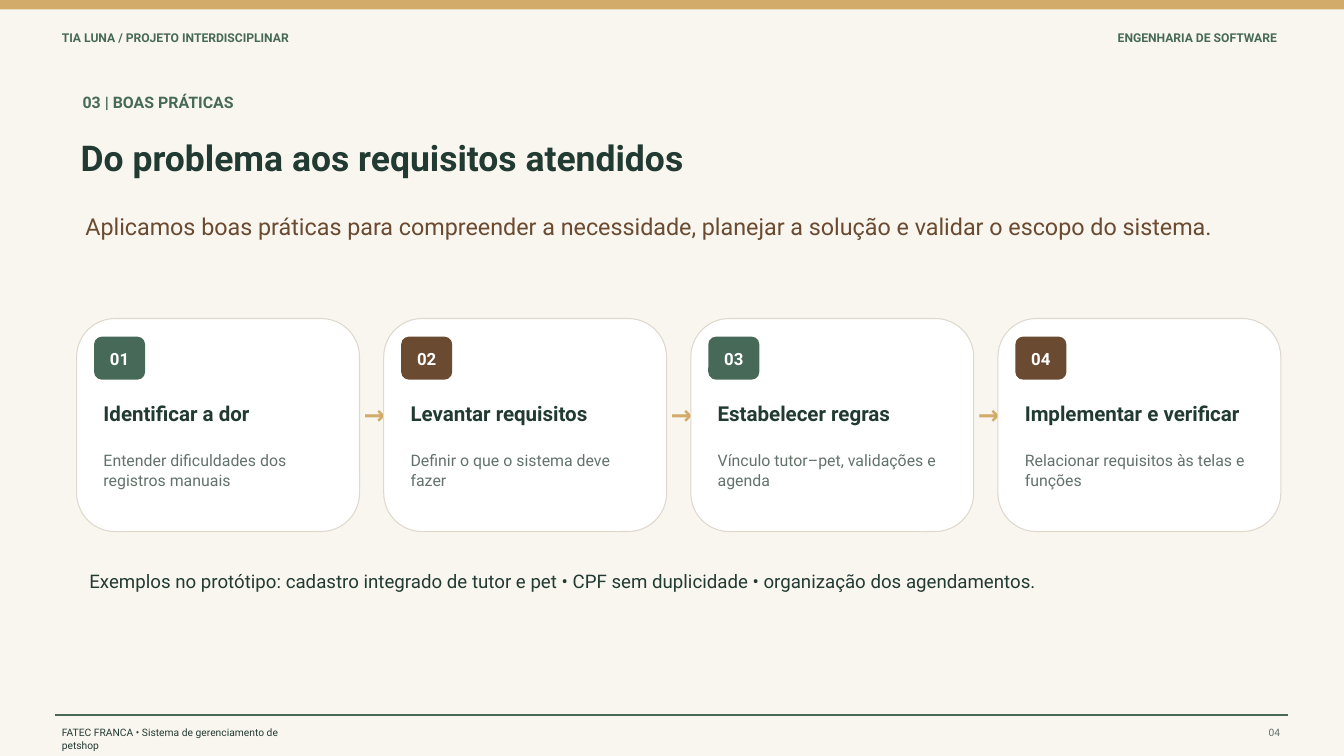
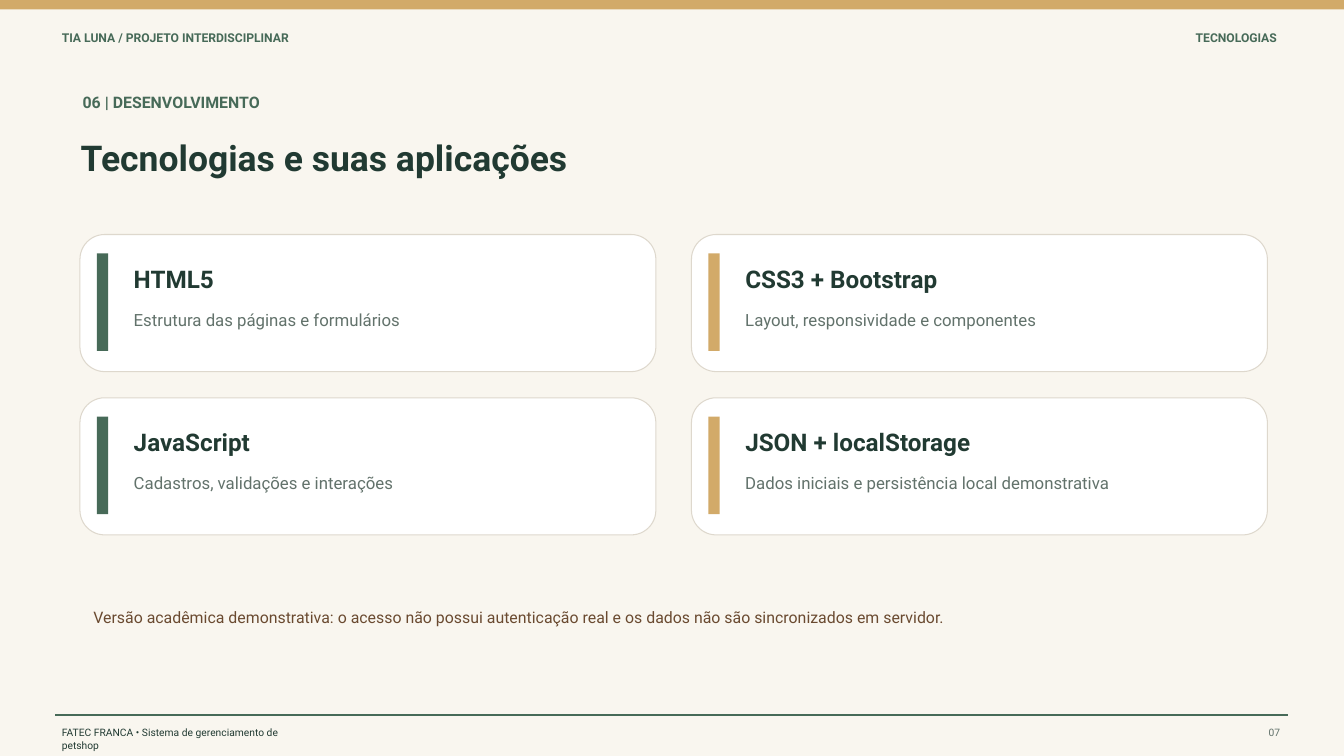
from lxml import etree
from pptx import Presentation
from pptx import util as u
from pptx.dml.color import RGBColor
from pptx.enum import shapes, text
from pptx.oxml.ns import qn

CREAM = RGBColor(0xF9, 0xF6, 0xEF)
GOLD = RGBColor(0xD2, 0xAA, 0x69)
GREEN = RGBColor(0x47, 0x6A, 0x58)
DARK = RGBColor(0x21, 0x3A, 0x32)
BROWN = RGBColor(0x6A, 0x4A, 0x30)
GREY = RGBColor(0x62, 0x72, 0x6B)
BORDER = RGBColor(0xDE, 0xD8, 0xCD)
WHITE = RGBColor(0xFF, 0xFF, 0xFF)

LEFT, RIGHT, CENTER = text.PP_ALIGN.LEFT, text.PP_ALIGN.RIGHT, text.PP_ALIGN.CENTER
RECT = shapes.MSO_SHAPE.RECTANGLE
ROUNDED = shapes.MSO_SHAPE.ROUNDED_RECTANGLE


def write(box, words, size, color, bold=False, align=LEFT):
    """Fill a shape or text box with one paragraph, without margins."""
    frame = box.text_frame
    frame.word_wrap = True
    frame.margin_left = frame.margin_right = frame.margin_top = frame.margin_bottom = 0
    para = frame.paragraphs[0]
    para.text = words
    para.alignment = align
    para.line_spacing = u.Pt(round(size * 1.26, 1))
    para.font.name = "Roboto"
    para.font.size = u.Pt(size)
    para.font.bold = bold
    para.font.color.rgb = color


def add_shape(page, kind, left, top, width, height, fill, border=None):
    """Add a flat preset shape, with a thin border if one is given."""
    shape = page.shapes.add_shape(kind, *map(u.Inches, (left, top, width, height)))
    shape.shadow.inherit = False
    shape.fill.solid()
    shape.fill.fore_color.rgb = fill
    if kind == ROUNDED:
        shape.adjustments[0] = 0.18
    if border is None:
        shape.line.fill.background()
    else:
        shape.line.color.rgb = border
        shape.line.width = u.Pt(1.1)
    return shape


deck = Presentation()
deck.slide_width, deck.slide_height = u.Inches(20), u.Inches(11.25)

# Shared frame: background, band, header, titles, footer
headings = [
    ("ENGENHARIA DE SOFTWARE", "04", "03 | BOAS PRÁTICAS", "Do problema aos requisitos atendidos"),
    ("TECNOLOGIAS", "07", "06 | DESENVOLVIMENTO", "Tecnologias e suas aplicações"),
]
pages = []
for subject, number, section, title in headings:
    page = deck.slides.add_slide(deck.slide_layouts[6])
    pages.append(page)
    page.background.fill.solid()
    page.background.fill.fore_color.rgb = CREAM
    add_shape(page, RECT, 0, 0, 20, 0.14, GOLD)

    rule = page.shapes.add_connector(
        shapes.MSO_CONNECTOR.STRAIGHT, *map(u.Inches, (0.82, 10.64, 19.17, 10.64)))
    rule.line.color.rgb = GREEN
    rule.line.width = u.Pt(1.5)
    etree.SubElement(rule._element.spPr, qn("a:effectLst"))

    for place, words, size, color, bold, align in [
        ((0.92, 0.44, 9.8, 0.26), "TIA LUNA / PROJETO INTERDISCIPLINAR", 13, GREEN, True, LEFT),
        ((15.1, 0.44, 3.9, 0.26), subject, 13, GREEN, True, RIGHT),
        ((1.23, 1.36, 14.8, 0.37), section, 17, GREEN, True, LEFT),
        ((1.2, 1.99, 17.7, 0.97), title, 38, DARK, True, LEFT),
        ((0.92, 10.8, 3.73, 0.18), "FATEC FRANCA • Sistema de gerenciamento de petshop",
         11, DARK, False, LEFT),
        ((18.7, 10.8, 0.35, 0.2), number, 11, GREY, False, RIGHT),
    ]:
        box = page.shapes.add_textbox(*map(u.Inches, place))
        write(box, words, size, color, bold, align)

practices, technologies = pages

# Practices: introduction and examples
for place, words, size, color in [
    ((1.27, 3.14, 17.2, 0.97), "Aplicamos boas práticas para compreender a necessidade, "
     "planejar a solução e validar o escopo do sistema.", 25, BROWN),
    ((1.33, 8.47, 17.1, 0.67), "Exemplos no protótipo: cadastro integrado de tutor e pet • "
     "CPF sem duplicidade • organização dos agendamentos.", 20, DARK),
]:
    write(practices.shapes.add_textbox(*map(u.Inches, place)), words, size, color)

# Practices: four steps joined by arrows
steps = [
    ("Identificar a dor", "Entender dificuldades dos registros manuais"),
    ("Levantar requisitos", "Definir o que o sistema deve fazer"),
    ("Estabelecer regras", "Vínculo tutor–pet, validações e agenda"),
    ("Implementar e verificar", "Relacionar requisitos às telas e funções"),
]
for index, (name, detail) in enumerate(steps):
    left = 1.14 + 4.57 * index
    add_shape(practices, ROUNDED, left, 4.74, 4.21, 3.17, WHITE, BORDER)
    badge = add_shape(practices, ROUNDED, left + 0.26, 5.01, 0.76, 0.64,
                      BROWN if index % 2 else GREEN)
    badge.text_frame.vertical_anchor = text.MSO_ANCHOR.MIDDLE
    write(badge, f"{index + 1:02}", 18, WHITE, True, CENTER)
    labels = [
        ((left + 0.4, 5.95, 3.38, 0.45), name, 22, DARK, True),
        ((left + 0.4, 6.69, 3.35, 1.03), detail, 17, GREY, False),
    ]
    if index < len(steps) - 1:
        labels.append(((left + 4.27, 5.91, 0.25, 0.52), "→", 28, GOLD, True))
    for place, words, size, color, bold in labels:
        write(practices.shapes.add_textbox(*map(u.Inches, place)), words, size, color, bold)

# Technologies: two by two cards with a coloured bar
cards = [
    ("HTML5", "Estrutura das páginas e formulários"),
    ("CSS3 + Bootstrap", "Layout, responsividade e componentes"),
    ("JavaScript", "Cadastros, validações e interações"),
    ("JSON + localStorage", "Dados iniciais e persistência local demonstrativa"),
]
for index, (name, detail) in enumerate(cards):
    row, column = divmod(index, 2)
    left, top = 1.19 + 9.1 * column, 3.49 + 2.43 * row
    add_shape(technologies, ROUNDED, left, top, 8.57, 2.04, WHITE, BORDER)
    add_shape(technologies, RECT, left + 0.25, top + 0.28, 0.17, 1.45, GOLD if column else GREEN)
    for place, words, size, color, bold in [
        ((left + 0.8, top + 0.42, 7.35, 0.42), name, 26, DARK, True),
        ((left + 0.8, top + 1.1, 7.2, 0.57), detail, 18, GREY, False),
    ]:
        write(technologies.shapes.add_textbox(*map(u.Inches, place)), words, size, color, bold)

# Technologies: closing remark
remark = technologies.shapes.add_textbox(*map(u.Inches, (1.39, 9.03, 17, 0.57)))
write(remark, "Versão acadêmica demonstrativa: o acesso não possui autenticação real "
      "e os dados não são sincronizados em servidor.", 17, BROWN)

deck.save("out.pptx")
